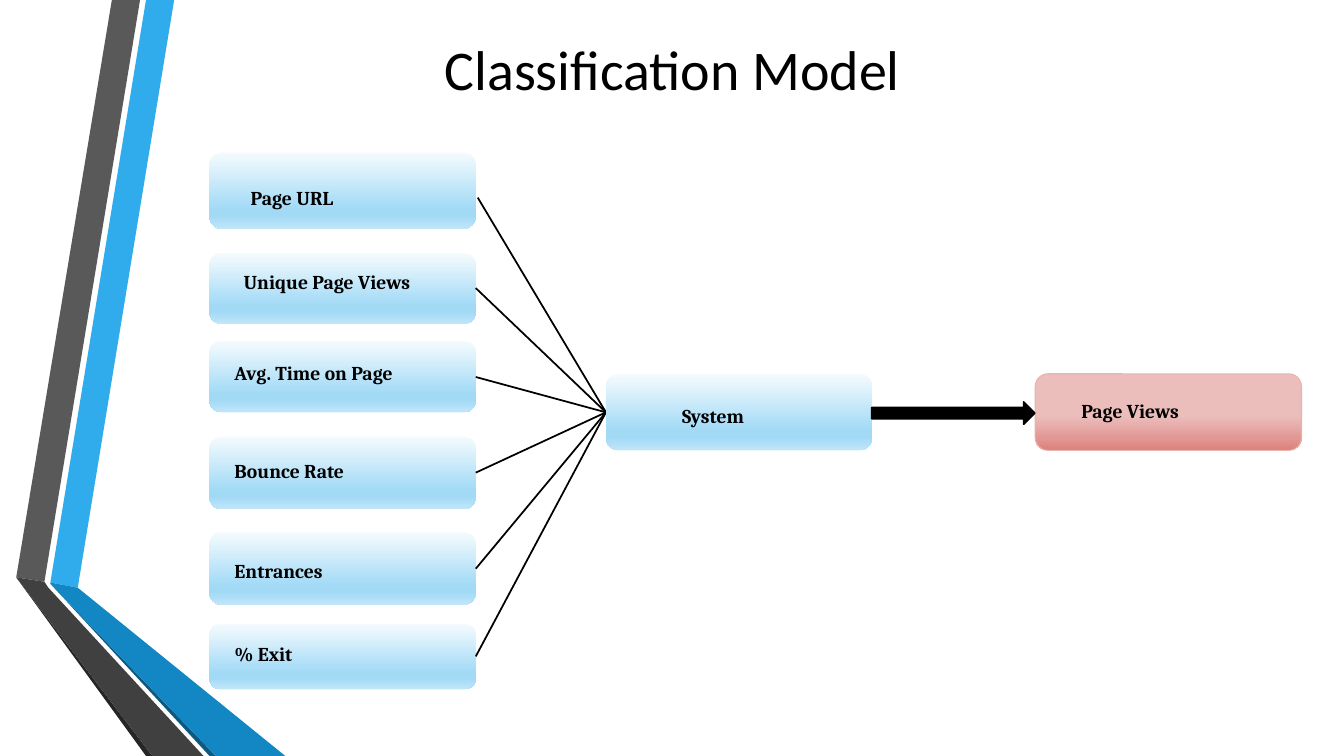
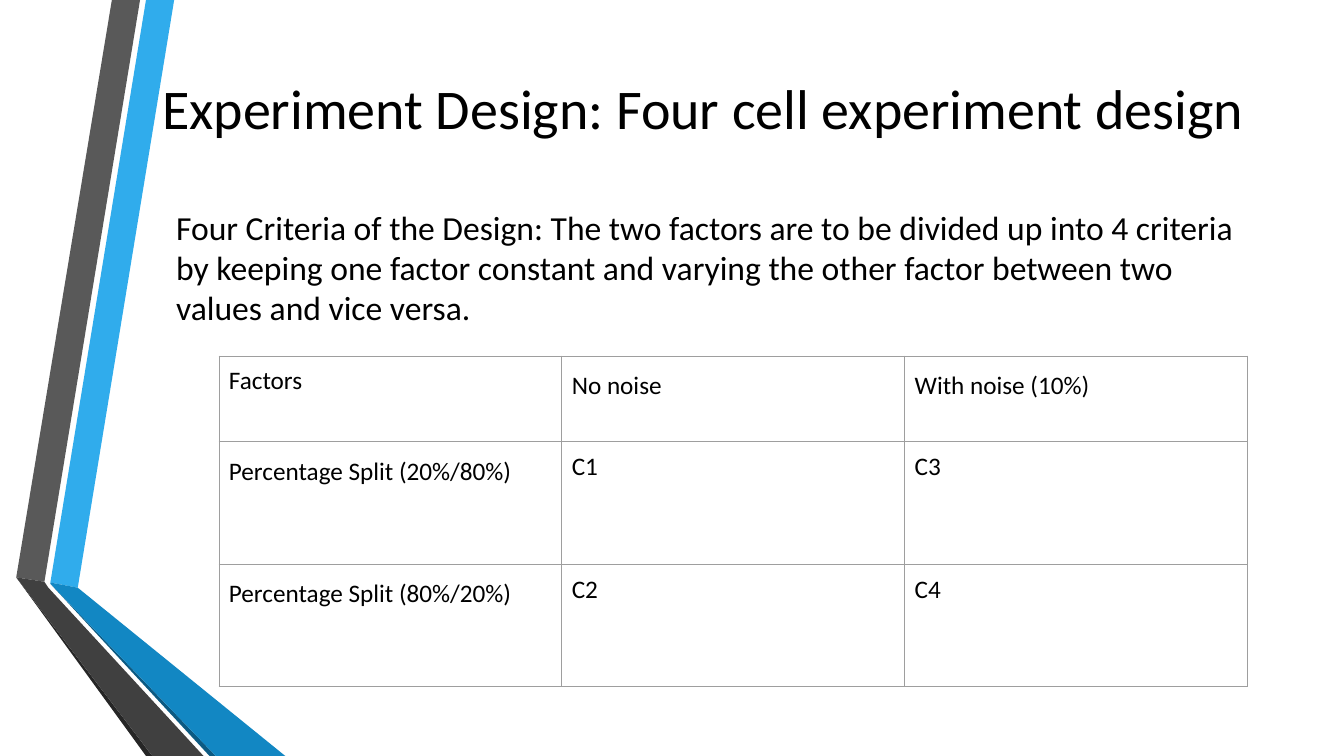
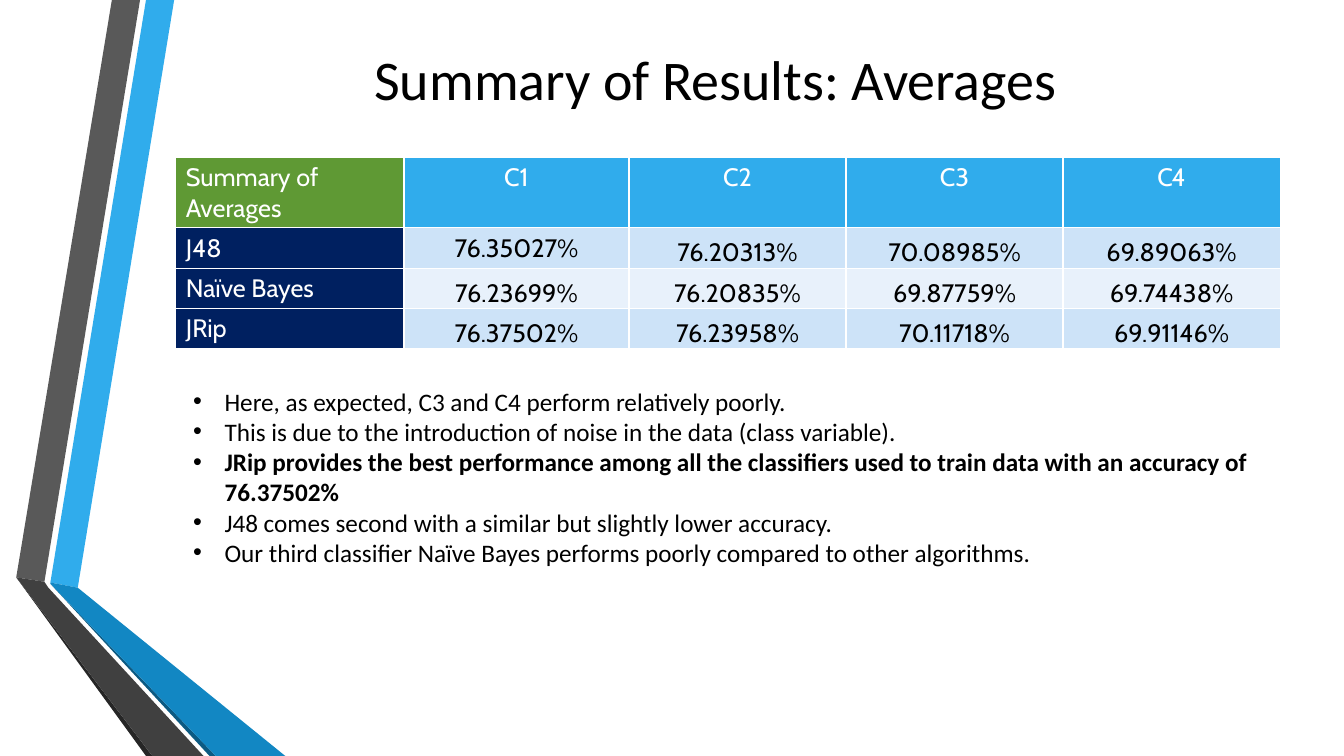
import pptx
import pptx.util
import pptx.dml.color
import pptx.enum.shapes
import pptx.enum.text
import pptx.oxml.ns
from lxml import etree
from dataclasses import dataclass

Cm = pptx.util.Cm
Pt = pptx.util.Pt
qn = pptx.oxml.ns.qn
Kind = pptx.enum.shapes.MSO_SHAPE
Align = pptx.enum.text.PP_ALIGN
Anchor = pptx.enum.text.MSO_ANCHOR


@dataclass(frozen=True)
class Theme:
    black: str = "000000"
    white: str = "FFFFFF"
    sky: str = "30ACEC"
    green: str = "5F9934"
    navy: str = "002060"
    grid: str = "9E9E9E"
    tints: tuple = ("CDE3F8", "E8F1FB")
    blue: tuple = ((0, "F5FBFE"), (74, "A2DAF6"), (83, "A2DAF6"), (100, "C1E6F9"))
    red: tuple = ((55, "EBBEBC"), (100, "DD817C"))
    rim: str = "E8B2AF"
    bands: tuple = ("30ACEC", "595959", "262626", "0C5A82", "1287C3", "404040")
    sans: str = "Calibri"
    serif: str = "Cambria"
    round: str = "Cabin"
    title: int = 40
    lead: int = 24
    body: int = 18
    label: int = 14


BANDS = (
    ((1.27, 14.68), (1.96, 14.81), (4.39, 0), (3.68, 0)),
    ((3.53, 0), (2.82, 0), (0.41, 14.55), (1.12, 14.66)),
    ((0.41, 14.55), (3.68, 19.05), (3.84, 19.05)),
    ((1.27, 14.71), (5.28, 19.05), (5.44, 19.05)),
    ((1.27, 14.71), (5.44, 19.05), (7.19, 19.05), (1.96, 14.81), (1.27, 14.68)),
    ((5.13, 19.05), (1.22, 14.81), (1.12, 14.66), (0.41, 14.55), (3.84, 19.05)),
)


def tint(code):
    return pptx.dml.color.RGBColor.from_string(code)


def apply(item, vals):
    for key, val in vals.items():
        setattr(item, key, val)


def pad(side, base=None):
    vals = {"margin_" + name: Cm(side) for name in ("left", "top", "right")}
    return {**vals, "margin_bottom": Cm(side if base is None else base)}


class Deck:
    def __init__(self, theme):
        self.theme = theme
        self.file = pptx.Presentation()
        apply(self.file, {"slide_width": Cm(33.87), "slide_height": Cm(19.05)})
        self.slide = None

    def page(self):
        self.slide = self.file.slides.add_slide(self.file.slide_layouts[6])
        for color, points in zip(self.theme.bands, BANDS):
            self.band(color, points)

    def band(self, color, points):
        spots = [(Cm(x), Cm(y)) for x, y in points]
        pen = self.slide.shapes.build_freeform(*spots[0], scale=1.0)
        pen.add_line_segments(spots[1:], close=True)
        self.paint(pen.convert_to_shape(), color)

    def paint(self, shape, fill, line=None, width=0.75):
        shape.shadow.inherit = False
        if isinstance(fill, str):
            shape.fill.solid()
            shape.fill.fore_color.rgb = tint(fill)
        else:
            self.blend(shape, fill)
        if line:
            shape.line.color.rgb = tint(line)
            shape.line.width = Pt(width)
        else:
            shape.line.fill.background()

    def blend(self, shape, stops):
        shape.fill.gradient()
        shape.fill.gradient_angle = 270
        ramp = shape.element.find(".//" + qn("a:gsLst"))
        for old in list(ramp):
            ramp.remove(old)
        for spot, code in stops:
            stop = etree.SubElement(ramp, qn("a:gs"), pos=str(spot * 1000))
            etree.SubElement(stop, qn("a:srgbClr"), val=code)

    def shape(self, kind, at, fill, line=None, width=0.75):
        shape = self.slide.shapes.add_shape(kind, *map(Cm, at))
        self.paint(shape, fill, line, width)

    def text(self, para, words, size, face, color=None, bold=False, form=None):
        para.text = words
        apply(para, form or {})
        apply(para.font, {"name": face, "size": Pt(size), "bold": bold})
        para.font.color.rgb = tint(color or self.theme.black)

    def frame(self, at, **vals):
        frame = self.slide.shapes.add_textbox(*map(Cm, at)).text_frame
        apply(frame, {"word_wrap": True, **vals})
        return frame

    def title(self, words, at, align=Align.CENTER):
        frame = self.frame(at, vertical_anchor=Anchor.MIDDLE, **pad(0.33))
        self.text(frame.paragraphs[0], words, self.theme.title, self.theme.sans,
                  form={"alignment": align})

    def lead(self, words, at):
        frame = self.frame(at, **pad(0.33))
        self.text(frame.paragraphs[0], words, self.theme.lead, self.theme.sans,
                  form={"space_after": Pt(6)})

    def label(self, words, left, top):
        frame = self.frame((left, top, 5.97, 0.86))
        self.text(frame.paragraphs[0], words, self.theme.label, self.theme.serif, bold=True)

    def list(self, items, at):
        frame = self.frame(at)
        for num, (words, bold) in enumerate(items):
            para = frame.add_paragraph() if num else frame.paragraphs[0]
            props = para._p.get_or_add_pPr()
            props.set("marL", str(Cm(0.79)))
            props.set("indent", str(Cm(-0.79)))
            etree.SubElement(props, qn("a:buFont"), typeface="Arial")
            etree.SubElement(props, qn("a:buChar"), char="•")
            self.text(para, words, self.theme.body, self.theme.sans, bold=bold)

    def line(self, start, end):
        kind = pptx.enum.shapes.MSO_CONNECTOR.STRAIGHT
        line = self.slide.shapes.add_connector(kind, *map(Cm, start + end))
        line.line.color.rgb = tint(self.theme.black)
        line.line.width = Pt(1.25)
        etree.SubElement(line.element.spPr, qn("a:effectLst"))

    def table(self, rows, spot, wide, high, edge, width, face, style):
        size = (sum(wide), sum(high))
        table = self.slide.shapes.add_table(
            len(rows), len(wide), *map(Cm, spot + size)).table
        apply(table, {"first_row": False, "horz_banding": False})
        for col, span in zip(table.columns, wide):
            col.width = Cm(span)
        for row, span in zip(table.rows, high):
            row.height = Cm(span)
        for r, row in enumerate(rows):
            for c, words in enumerate(row):
                cell = table.cell(r, c)
                fill, color, vals, form = style(r, c)
                cell.text = words
                for para in cell.text_frame.paragraphs:
                    self.text(para, para.text, self.theme.body, face, color, form=form)
                apply(cell, vals)
                if fill:
                    cell.fill.solid()
                    cell.fill.fore_color.rgb = tint(fill)
                else:
                    cell.fill.background()
                self.edge(cell, edge, width)

    def edge(self, cell, color, width):
        props = cell._tc.get_or_add_tcPr()
        for num, side in enumerate("LRTB"):
            line = etree.Element(qn("a:ln" + side), w=str(Pt(width)))
            fill = etree.SubElement(line, qn("a:solidFill"))
            etree.SubElement(fill, qn("a:srgbClr"), val=color)
            props.insert(num, line)


def model(deck):
    theme = deck.theme
    deck.page()
    deck.title("Classification Model", (2.34, 0.28, 29.21, 2.87))
    box = Kind.FLOWCHART_ALTERNATE_PROCESS
    wide, hub = 6.71, (15.27, 10.39)
    inputs = (
        ("Page URL", 3.84, 1.93, 6.07, 4.55, 12.04, 4.98),
        ("Unique Page Views", 6.38, 1.78, 5.89, 6.68, 11.99, 7.26),
        ("Avg. Time on Page", 8.59, 1.8, 5.66, 8.97, 11.99, 9.5),
        ("Bounce Rate", 11, 1.83, 5.66, 11.43, 11.99, 11.91),
        ("Entrances", 13.41, 1.83, 5.66, 13.97, 11.99, 14.33),
        ("% Exit", 15.72, 1.65, 5.66, 16.05, 11.99, 16.54),
    )
    for words, top, high, left, base, x, y in inputs:
        deck.shape(box, (5.28, top, wide, high), theme.blue)
        deck.label(words, left, base)
        deck.line((x, y), hub)
    deck.shape(box, (15.27, 9.42, wide, 1.93), theme.blue)
    deck.label("System", 16.94, 10.06)
    deck.shape(box, (26.09, 9.42, wide, 1.93), theme.red, theme.rim)
    deck.label("Page Views", 27, 9.93)
    deck.shape(Kind.RIGHT_ARROW, (21.97, 10.13, 4.11, 0.56), theme.black, theme.black, 1.25)


def design(deck):
    theme = deck.theme
    deck.page()
    deck.title("Experiment Design: Four cell experiment design",
               (3.76, 0.25, 28.19, 4.88), Align.LEFT)
    deck.lead("Four Criteria of the Design: The two factors are to be divided up into "
              "4 criteria by keeping one factor constant and varying the other factor "
              "between two values and vice versa.", (4.11, 4.88, 27.84, 8.69))

    def style(r, c):
        loose = (r == 0) != (c == 0)
        return None, theme.black, pad(0.25), {"line_spacing": 1.15} if loose else {}

    rows = (
        ("Factors", "No noise", "With noise (10%)"),
        ("Percentage Split (20%/80%)", "C1", "C3"),
        ("Percentage Split (80%/20%)", "C2", "C4"),
    )
    deck.table(rows, (5.52, 8.97), (8.64,) * 3, (2.16, 3.09, 3.09),
               theme.grid, 0.75, theme.sans, style)


def result(deck):
    theme = deck.theme
    deck.page()
    deck.title("Summary of Results: Averages", (4.11, 0, 27.84, 3.96))

    def style(r, c):
        form = {"alignment": Align.CENTER if c else Align.LEFT}
        if r == 0:
            return theme.sky if c else theme.green, theme.white, {}, form
        if c == 0:
            return theme.navy, theme.white, {}, form
        vals = {"vertical_anchor": Anchor.BOTTOM, **pad(0.03, 0)}
        if (r, c) == (1, 1):
            vals = {}
        return theme.tints[(r - 1) % 2], theme.black, vals, form

    rows = (
        ("Summary of\nAverages", "C1", "C2", "C3", "C4"),
        ("J48", "76.35027%", "76.20313%", "70.08985%", "69.89063%"),
        ("Naïve Bayes", "76.23699%", "76.20835%", "69.87759%", "69.74438%"),
        ("JRip", "76.37502%", "76.23958%", "70.11718%", "69.91146%"),
    )
    deck.table(rows, (4.43, 3.96), (5.75, 5.67) + (5.47,) * 3, (1.65,) + (0.97,) * 3,
               theme.white, 1, theme.round, style)
    deck.list((
        ("Here, as expected, C3 and C4 perform relatively poorly.", False),
        ("This is due to the introduction of noise in the data (class variable).", False),
        ("JRip provides the best performance among all the classifiers used to train "
         "data with an accuracy of 76.37502%", True),
        ("J48 comes second with a similar but slightly lower accuracy.", False),
        ("Our third classifier Naïve Bayes performs poorly compared to other algorithms.", False),
    ), (4.62, 9.6, 27.41, 4.88))


def main():
    deck = Deck(Theme())
    for build in (model, design, result):
        build(deck)
    deck.file.save("out.pptx")


if __name__ == "__main__":
    main()
